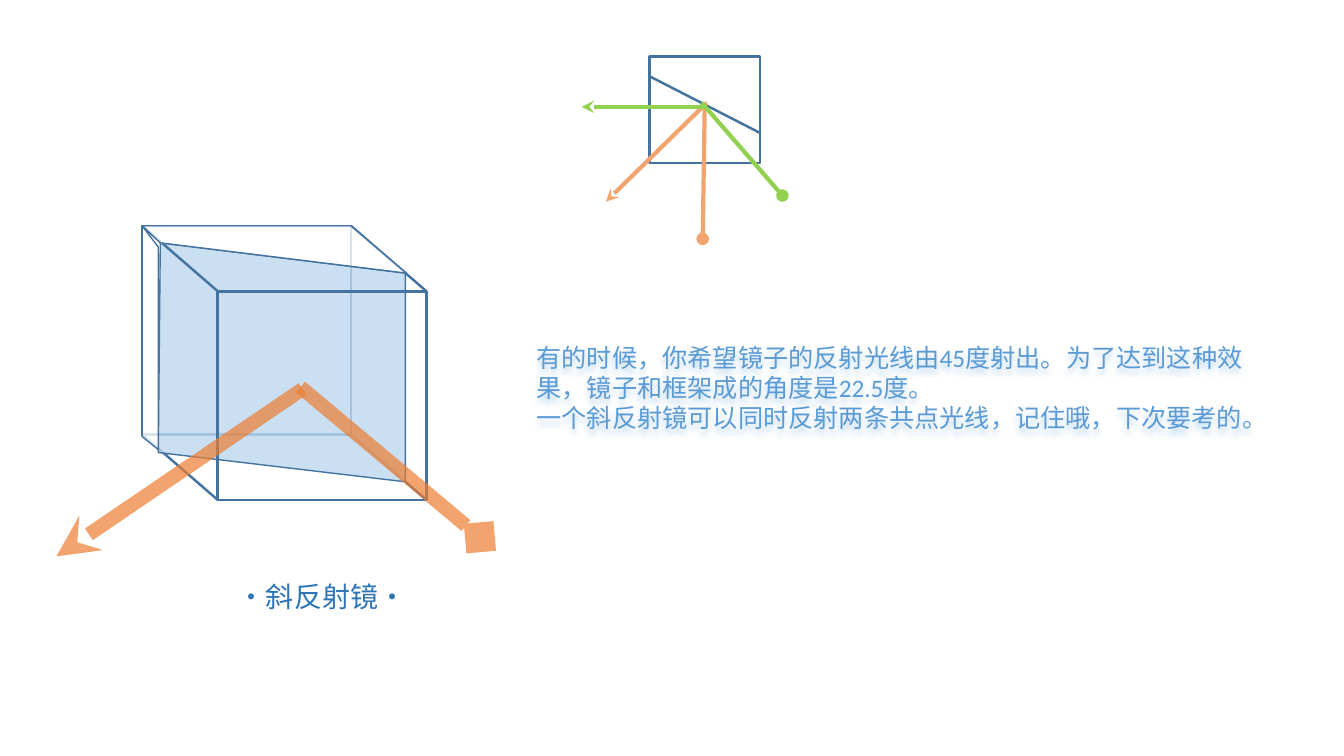
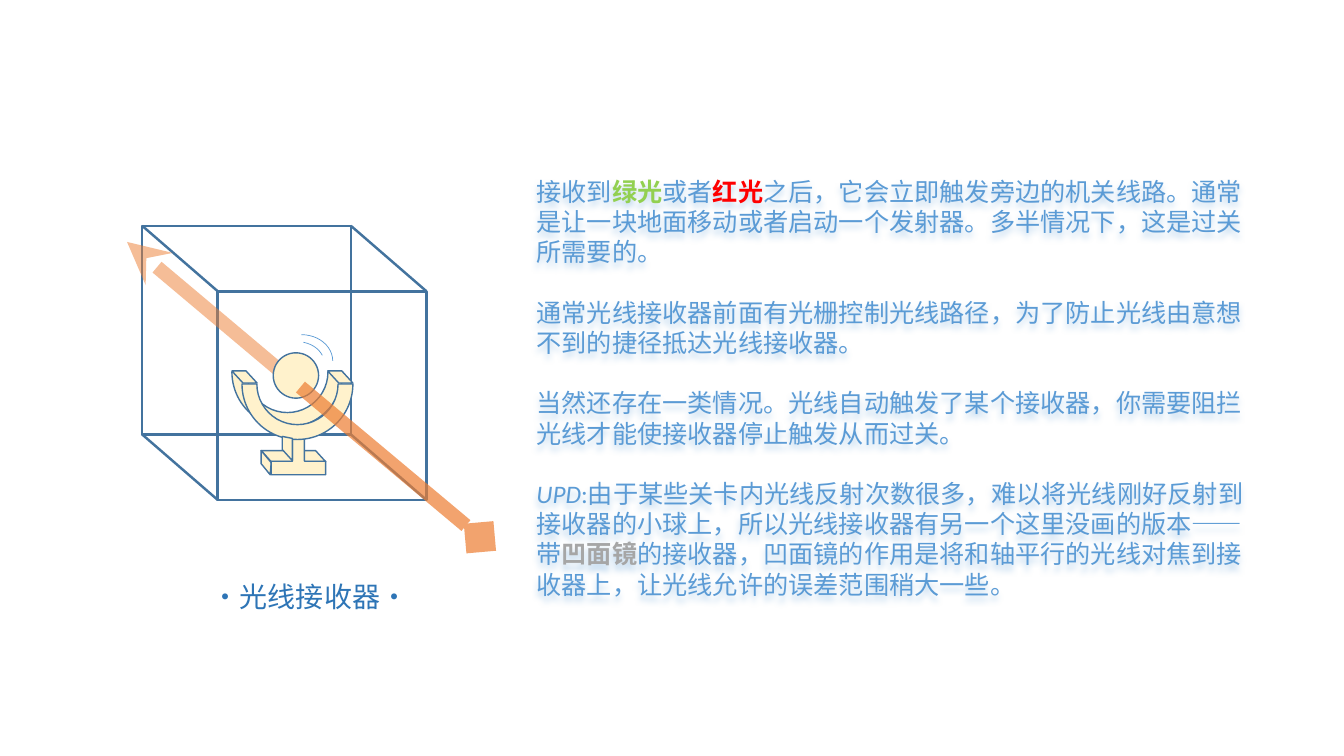
from lxml import etree
from pptx import Presentation
from pptx import util as u
from pptx.dml import color
from pptx.enum import lang, shapes, text
from pptx.oxml import ns

PX = 9144
INK = {
    "edge": "43739E", "glass": "BDD7EE", "white": "FFFFFF", "cream": "FFF2CC",
    "beam": "ED7D31", "peach": "F2A46E", "green": "92D050", "red": "FF0000",
    "grey": "A6A6A6", "body": "5B9BD5", "title": "2E75B6",
}
KIND = shapes.MSO_SHAPE
HAN = "Noto Sans CJK SC"
CUBE = (141, 224)
SIDE = 207
DX, DY = 75, 65
BODY = (522, 94, 741, 581)


def rgb(name):
    return color.RGBColor.from_string(INK[name])


def sub(node, tag, **attrs):
    return etree.SubElement(node, ns.qn(tag), attrs)


def fade(node, pct):
    for clr in node.iter(ns.qn("a:srgbClr")):
        sub(clr, "a:alpha", val=str(pct * 1000))


def place(shape, box):
    shape.left, shape.top, shape.width, shape.height = (n * PX for n in box)


class Pen:
    def __init__(self, slide, at):
        self.kit = slide.shapes
        self.x, self.y = at

    def move(self, x, y):
        return self.x + x, self.y + y

    def style(self, shape, fill, line, width, alpha=None):
        shape.shadow.inherit = False
        if fill:
            shape.fill.solid()
            shape.fill.fore_color.rgb = rgb(fill)
            if alpha:
                fade(shape.fill._xPr.find(ns.qn("a:solidFill")), alpha)
        else:
            shape.fill.background()
        shape.line.color.rgb = rgb(line)
        shape.line.width = u.Pt(width)

    def shape(self, kind, box, fill=None, line="edge", width=1, adj=(), turn=0):
        item = self.kit.add_shape(kind, 0, 0, PX, PX)
        place(item, self.move(*box[:2]) + box[2:])
        for i, val in enumerate(adj):
            item.adjustments[i] = val
        item.rotation = turn
        self.style(item, fill, line, width)

    def poly(self, pts, fill, alpha=None):
        pts = [self.move(*p) for p in pts]
        form = self.kit.build_freeform(*pts[0], scale=PX)
        form.add_line_segments(pts[1:], close=True)
        self.style(form.convert_to_shape(), fill, "edge", 1, alpha)

    def seg(self, a, b, ink="edge", width=1.75, alpha=None, head=None, tail=None):
        ends = [n * PX for n in self.move(*a) + self.move(*b)]
        item = self.kit.add_connector(shapes.MSO_CONNECTOR.STRAIGHT, *ends)
        item.line.color.rgb = rgb(ink)
        item.line.width = u.Pt(width)
        props = item._element.spPr
        line = props.find(ns.qn("a:ln"))
        if alpha:
            fade(line, alpha)
        for tag, kind in (("a:headEnd", head), ("a:tailEnd", tail)):
            if kind:
                sub(line, tag, type=kind)
        sub(props, "a:effectLst")


def write(para, words, ink, size, face, bold=False, slant=False):
    run = para.add_run()
    run.text = words
    font = run.font
    font.size, font.bold, font.italic = u.Pt(size), bold, slant
    font.color.rgb = rgb(ink)
    font.name = face
    font.language_id = lang.MSO_LANGUAGE_ID.SIMPLIFIED_CHINESE
    sub(run._r.get_or_add_rPr(), "a:ea", typeface=HAN)


def setup(shape, box, anchor):
    place(shape, box)
    frame = shape.text_frame
    frame.word_wrap = True
    frame.auto_size = text.MSO_AUTO_SIZE.NONE
    frame.vertical_anchor = anchor
    return frame


def caption(slide, box, words):
    frame = setup(slide.shapes.title, box, text.MSO_ANCHOR.TOP)
    para = frame.paragraphs[0]
    para.alignment = text.PP_ALIGN.CENTER
    write(para, words, "title", 20, HAN)


def notes(slide, box, paras, gap=0):
    shape = slide.placeholders[1]
    frame = setup(shape, box, text.MSO_ANCHOR.MIDDLE)
    shape.fill.background()
    shape.line.fill.background()
    glow = sub(sub(shape._element.spPr, "a:effectLst"), "a:outerShdw",
               blurRad="50800", dist="50800", dir="5400000", algn="t", rotWithShape="0")
    sub(glow, "a:srgbClr", val=INK["glass"])
    for i, runs in enumerate(paras):
        para = frame.add_paragraph() if i else frame.paragraphs[0]
        para.space_before = u.Pt(gap if i else 0)
        props = para._p.get_or_add_pPr()
        props.set("marL", "0")
        props.set("indent", "0")
        sub(props, "a:buNone")
        for words, ink, bold, slant in runs:
            write(para, words, ink, 18, "Calibri", bold, slant)


def plain(words):
    return words, "body", False, False


def back(pen):
    pen.shape(KIND.RECTANGLE, (0, 0, SIDE, SIDE), width=1.75)
    for x, y in ((SIDE, 0), (SIDE, SIDE), (0, SIDE)):
        pen.seg((x, y), (x + DX, y + DY))


def front(pen):
    pen.shape(KIND.RECTANGLE, (DX, DY, SIDE, SIDE), width=1.75)
    pen.seg((0, 0), (DX, DY))


def source(pen):
    pen.seg((157, 160), (335, 309), "beam", 10, 70, tail="diamond")


def mirror(slide, at):
    pen = Pen(slide, at)
    back(pen)
    pen.poly([(18, 17), (261, 47), (261, 254), (16, 225)], "glass", 80)
    front(pen)
    source(pen)
    pen.seg((-85, 328), (159, 162), "beam", 10, 70, head="stealth")
    pen.poly([(18, 17), (262, 47), (SIDE, 0), (0, 0)], "white", 80)
    pen.poly([(16, 21), (16, 222), (0, 209), (0, 0)], "white", 80)


def plan(slide, at):
    pen = Pen(slide, at)
    pen.shape(KIND.RECTANGLE, (0, 0, 110, 106), width=1.75)
    pen.seg((-1, 19), (110, 76))
    for a, b, ink, head in (
        ((53, 181), (55, 47), "peach", "oval"),
        ((-43, 144), (57, 46), "peach", "stealth"),
        ((132, 138), (52, 46), "green", "oval"),
        ((-67, 50), (55, 50), "green", "stealth"),
    ):
        pen.seg(a, b, ink, 3, head=head)


def stand(pen):
    pen.poly([(83, 133), (93, 144), (39, 144), (29, 133)], "cream")
    pen.poly([(38, 157), (29, 146), (29, 133), (39, 145)], "cream")
    pen.shape(KIND.UP_ARROW_CALLOUT, (39, 108, 54, 49), "cream",
              adj=(0.244, 0.143, 0.25, 0.274))


def bowl(pen):
    bend = (108, 0, 0.134)
    pen.shape(KIND.BLOCK_ARC, (0, 0, 110, 110), "cream", adj=bend, turn=180)
    pen.shape(KIND.OVAL, (41, 36, 45, 45), "cream")
    pen.shape(KIND.BLOCK_ARC, (10, 12, 110, 110), "cream", adj=bend, turn=180)
    for x in (95, 0):
        pen.poly([(x + 14, 54), (x + 25, 66), (x + 11, 66), (x, 54)], "cream")
    pen.poly([(60, 143), (50, 132), (50, 119), (60, 121)], "cream")


def gleam(pen):
    for box, adj in (((38, 25, 54, 45), (171.27, 204.07)),
                     ((38, 18, 62, 52), (162, 0))):
        pen.shape(KIND.ARC, box, line="body", width=0.5, adj=adj)


def target(slide, at):
    pen = Pen(slide, at)
    back(pen)
    front(pen)
    pen.seg((-15, 16), (162, 165), "beam", 10, 50, head="stealth")
    cup = Pen(slide, pen.move(89, 90))
    stand(cup)
    bowl(cup)
    source(pen)
    gleam(cup)


def main():
    deck = Presentation()
    deck.slide_width, deck.slide_height = u.Inches(13.33), u.Inches(7.5)
    layout = deck.slide_layouts[1]

    slide = deck.slides.add_slide(layout)
    mirror(slide, CUBE)
    plan(slide, (644, 56))
    caption(slide, (216, 570, 207, 44), "·斜反射镜·")
    notes(slide, BODY, [
        [plain("有的时候，你希望镜子的反射光线由45度射出。为了达到这种效果，镜子和框架成的角度是22.5度。")],
        [plain("一个斜反射镜可以同时反射两条共点光线，记住哦，下次要考的。")],
    ])

    slide = deck.slides.add_slide(layout)
    target(slide, CUBE)
    caption(slide, (192, 570, 231, 44), "·光线接收器·")
    notes(slide, BODY, [
        [plain("接收到"), ("绿光", "green", True, False), plain("或者"),
         ("红光", "red", True, False),
         plain("之后，它会立即触发旁边的机关线路。通常是让一块地面移动或者启动一个发射器。多半情况下，这是过关所需要的。")],
        [plain("通常光线接收器前面有光栅控制光线路径，为了防止光线由意想不到的捷径抵达光线接收器。")],
        [plain("当然还存在一类情况。光线自动触发了某个接收器，你需要阻拦光线才能使接收器停止触发从而过关。")],
        [("UPD", "body", False, True),
         plain(":由于某些关卡内光线反射次数很多，难以将光线刚好反射到接收器的小球上，所以光线接收器有另一个这里没画的版本——带"),
         ("凹面镜", "grey", True, False),
         plain("的接收器，凹面镜的作用是将和轴平行的光线对焦到接收器上，让光线允许的误差范围稍大一些。")],
    ], 21.6)

    deck.save("out.pptx")


if __name__ == "__main__":
    main()
